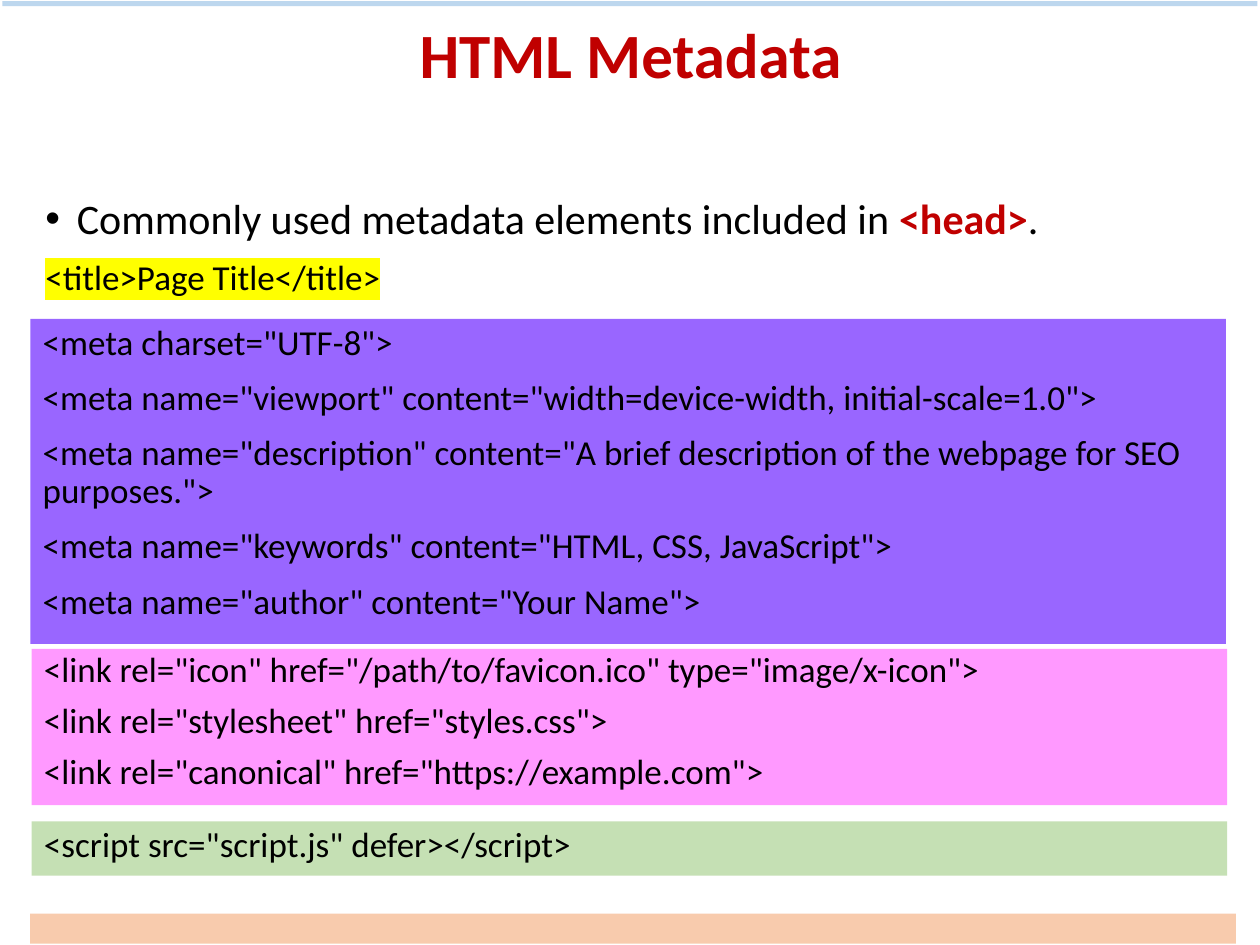
import lxml.etree
import pptx
import pptx.dml.color
import pptx.enum.shapes
import pptx.enum.text
import pptx.oxml.ns
import pptx.util

SLIDE_WIDTH = pptx.util.Inches(10)
SLIDE_HEIGHT = pptx.util.Inches(7.5)
BLACK, RED = "000000", "C00000"
TITLE_FONT = {"name": "Calibri", "size": pptx.util.Pt(36), "bold": True}
LEAD_FONT = {"name": "Calibri", "size": pptx.util.Pt(24), "bold": False}
TAG_FONT = {**LEAD_FONT, "bold": True}
CODE_FONT = {**LEAD_FONT, "size": pptx.util.Pt(20)}

BARS = [
    ((2.4, 96.67, 95.7, 3.2), "F8CBAD"),
    ((0.2, 0.13, 99.6, 0.53), "BDD7EE"),
]
CODE_BLOCKS = [
    ((2.4, 33.73, 94.9, 34.4), "9966FF", 0.9, [
        '<meta charset="UTF-8">',
        '<meta name="viewport" content="width=device-width, initial-scale=1.0">',
        '<meta name="description" content="A brief description of the webpage for SEO purposes.">',
        '<meta name="keywords" content="HTML, CSS, JavaScript">',
        '<meta name="author" content="Your Name">',
    ]),
    ((2.5, 68.67, 94.9, 16.53), "FF99FF", 0.8, [
        '<link rel="icon" href="/path/to/favicon.ico" type="image/x-icon">',
        '<link rel="stylesheet" href="styles.css">',
        '<link rel="canonical" href="https://example.com">',
    ]),
    ((2.5, 86.93, 94.9, 5.73), "C5E0B4", 0.9, [
        '<script src="script.js" defer></script>',
    ]),
]


def color(hex_value):
    return pptx.dml.color.RGBColor.from_string(hex_value)


def share(left, top, width, height):
    return {
        "left": int(SLIDE_WIDTH * left / 100),
        "top": int(SLIDE_HEIGHT * top / 100),
        "width": int(SLIDE_WIDTH * width / 100),
        "height": int(SLIDE_HEIGHT * height / 100),
    }


def apply(target, values):
    for attribute, value in values.items():
        setattr(target, attribute, value)


def add_element(parent, tag, **attributes):
    return lxml.etree.SubElement(parent, pptx.oxml.ns.qn(tag), attributes)


def prepare_frame(frame):
    apply(frame, {
        "word_wrap": True,
        "auto_size": pptx.enum.text.MSO_AUTO_SIZE.NONE,
        "vertical_anchor": pptx.enum.text.MSO_ANCHOR.TOP,
    })


def format_paragraph(paragraph, spacing=0.9, before=10, align="LEFT"):
    apply(paragraph, {
        "alignment": getattr(pptx.enum.text.PP_ALIGN, align),
        "line_spacing": spacing,
        "space_before": pptx.util.Pt(before),
    })


def add_run(paragraph, text, font, hex_value=BLACK):
    run = paragraph.add_run()
    run.text = text
    apply(run.font, font)
    run.font.color.rgb = color(hex_value)
    return run


def highlight(run, hex_value):
    properties = run.font._element
    marker = add_element(properties, "a:highlight")
    add_element(marker, "a:srgbClr", val=hex_value)
    properties.find(pptx.oxml.ns.qn("a:solidFill")).addnext(marker)


def set_bullet(paragraph, symbol=None):
    properties = paragraph._p.get_or_add_pPr()
    indent = pptx.util.Inches(0.25) if symbol else 0
    properties.set("marL", str(indent))
    properties.set("indent", str(-indent))
    if symbol:
        add_element(properties, "a:buFont", typeface="Arial")
        add_element(properties, "a:buChar", char=symbol)
    else:
        add_element(properties, "a:buNone")


def add_block(slide, area, fill):
    block = slide.shapes.add_shape(
        pptx.enum.shapes.MSO_SHAPE.RECTANGLE, **share(*area))
    block.shadow.inherit = False
    block.fill.solid()
    block.fill.fore_color.rgb = color(fill)
    block.line.fill.background()
    return block


def add_code_block(slide, area, fill, spacing, code_lines):
    frame = add_block(slide, area, fill).text_frame
    prepare_frame(frame)
    for index, code in enumerate(code_lines):
        paragraph = frame.add_paragraph() if index else frame.paragraphs[0]
        format_paragraph(paragraph, spacing)
        add_run(paragraph, code, CODE_FONT)


def fill_title(title):
    apply(title, share(2.6, 1.87, 94.9, 16.93))
    prepare_frame(title.text_frame)
    heading = title.text_frame.paragraphs[0]
    format_paragraph(heading, before=0, align="CENTER")
    add_run(heading, "HTML Metadata", TITLE_FONT, RED)


def fill_body(body):
    apply(body, share(2.6, 20.27, 94.9, 14.27))
    prepare_frame(body.text_frame)
    lead = body.text_frame.paragraphs[0]
    format_paragraph(lead)
    set_bullet(lead, "•")
    add_run(lead, "Commonly used metadata elements included in ", LEAD_FONT)
    add_run(lead, "<head>", TAG_FONT, RED)
    add_run(lead, ".", LEAD_FONT)
    title_example = body.text_frame.add_paragraph()
    format_paragraph(title_example)
    set_bullet(title_example)
    highlight(add_run(title_example, "<title>Page Title</title>", CODE_FONT), "FFFF00")


def main():
    deck = pptx.Presentation()
    apply(deck, {"slide_width": SLIDE_WIDTH, "slide_height": SLIDE_HEIGHT})
    slide = deck.slides.add_slide(deck.slide_layouts[1])
    for area, fill in BARS:
        add_block(slide, area, fill)
    fill_title(slide.shapes.title)
    fill_body(slide.placeholders[1])
    for code_block in CODE_BLOCKS:
        add_code_block(slide, *code_block)
    deck.save("out.pptx")


if __name__ == "__main__":
    main()
